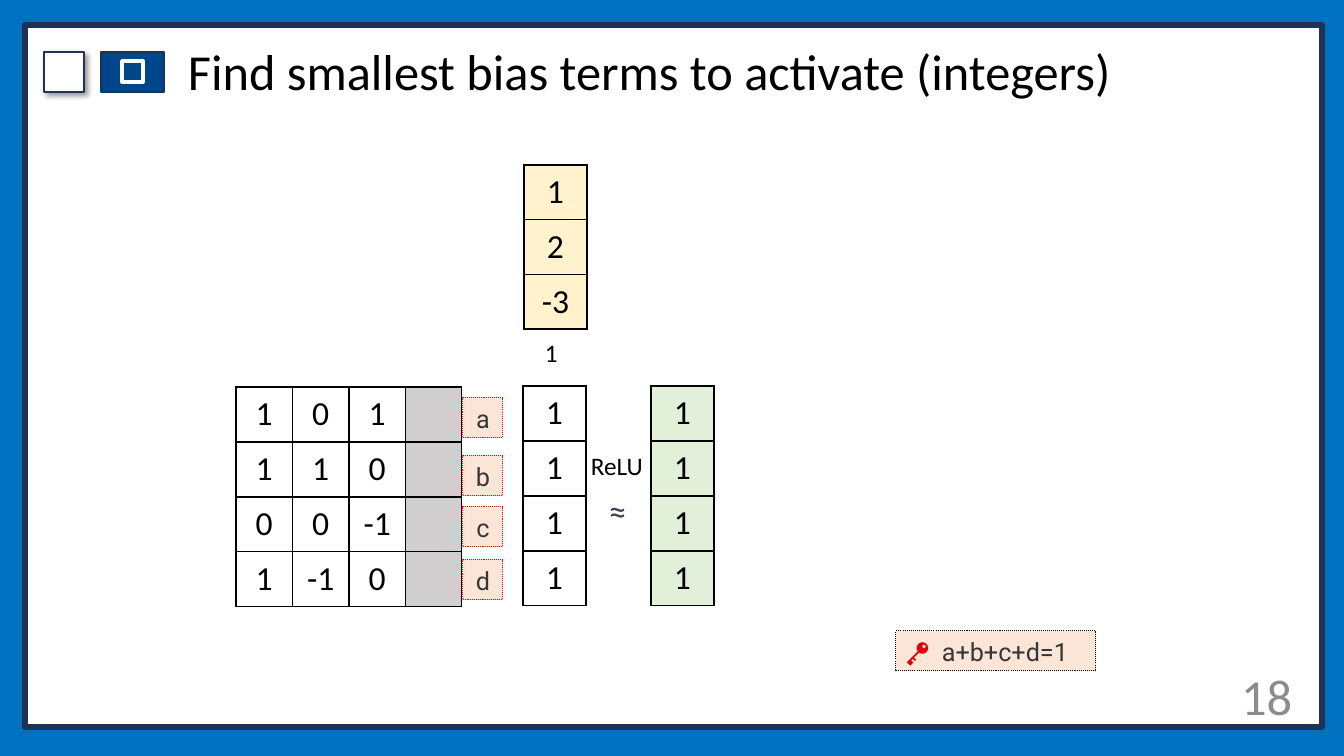
import pptx
import pptx.dml.color
import pptx.enum.dml
import pptx.enum.shapes
import pptx.enum.text
import pptx.oxml
import pptx.oxml.ns
import pptx.util

PIXELS_PER_INCH = 100.8
BLACK = "000000"
WHITE = "FFFFFF"
NAVY = "1E3256"
BLUE = "00468B"
PEACH = "FBE5D6"
DARK = "373637"
ALIGN = pptx.enum.text.PP_ALIGN
ANCHOR = pptx.enum.text.MSO_ANCHOR
NAMESPACE = pptx.oxml.ns.nsdecls("a")


def px(value):
    return pptx.util.Emu(round(value * 914400 / PIXELS_PER_INCH))


def place(*lengths):
    return [px(length) for length in lengths]


def color(value):
    return pptx.dml.color.RGBColor.from_string(value)


def add_span(para, text, size, font, ink):
    span = para.add_run()
    span.text = text
    span.font.size = pptx.util.Pt(size)
    span.font.name = font
    span.font.color.rgb = color(ink)


def add_box(page, area, fill, line, weight):
    box = page.shapes.add_shape(pptx.enum.shapes.MSO_SHAPE.RECTANGLE, *place(*area))
    box.shadow.inherit = False
    box.fill.solid()
    box.fill.fore_color.rgb = color(fill)
    box.line.color.rgb = color(line)
    box.line.width = pptx.util.Pt(weight)
    return box


def add_shadow(box):
    effects = box._element.spPr.find(pptx.oxml.ns.qn("a:effectLst"))
    effects.append(pptx.oxml.parse_xml(
        f'<a:outerShdw {NAMESPACE} blurRad="50800" dist="38100" dir="2700000">'
        f'<a:srgbClr val="{BLACK}"><a:alpha val="40000"/></a:srgbClr></a:outerShdw>'))


def add_text(page, area, text, size, font="Calibri", ink=BLACK,
             anchor=ANCHOR.TOP, align=ALIGN.LEFT, wrap=True):
    frame = page.shapes.add_textbox(*place(*area)).text_frame
    frame.word_wrap = wrap
    frame.vertical_anchor = anchor
    para = frame.paragraphs[0]
    para.alignment = align
    add_span(para, text, size, font, ink)
    return para


def add_label(page, area, line, align):
    box = add_box(page, area, PEACH, line, 0.75)
    box.line.dash_style = pptx.enum.dml.MSO_LINE.ROUND_DOT
    frame = box.text_frame
    frame.word_wrap = True
    frame.vertical_anchor = ANCHOR.TOP
    para = frame.paragraphs[0]
    para.alignment = align
    return para


def add_borders(cell):
    properties = cell._tc.get_or_add_tcPr()
    for side in ("lnL", "lnR", "lnT", "lnB"):
        properties.append(pptx.oxml.parse_xml(
            f'<a:{side} {NAMESPACE} w="12700"><a:solidFill>'
            f'<a:srgbClr val="{BLACK}"/></a:solidFill></a:{side}>'))


def add_matrix(page, area, rows, fill=None, empty_fill=None):
    left, top, width, height = place(*area)
    table = page.shapes.add_table(
        len(rows), len(rows[0]), left, top, width, height).table
    table.first_row = False
    table.horz_banding = False
    for column in table.columns:
        column.width = width // len(rows[0])
    for row_index, values in enumerate(rows):
        table.rows[row_index].height = height // len(rows)
        for column_index, value in enumerate(values):
            cell = table.cell(row_index, column_index)
            add_borders(cell)
            cell_fill = fill if value else empty_fill
            if cell_fill:
                cell.fill.solid()
                cell.fill.fore_color.rgb = color(cell_fill)
            else:
                cell.fill.background()
            cell.vertical_anchor = ANCHOR.MIDDLE
            cell.margin_left = cell.margin_right = px(9)
            cell.margin_top = cell.margin_bottom = px(4)
            if value:
                para = cell.text_frame.paragraphs[0]
                para.alignment = ALIGN.CENTER
                add_span(para, value, 24, "Calibri", BLACK)


def add_frame(page):
    page.background.fill.solid()
    page.background.fill.fore_color.rgb = color("0070C0")
    add_box(page, (25, 25, 1297, 702), WHITE, NAVY, 4)
    add_box(page, (101, 52, 63, 40), BLUE, NAVY, 1)
    add_box(page, (122, 61, 21, 21), BLUE, WHITE, 2.5)
    add_shadow(add_box(page, (44, 52, 40, 40), WHITE, NAVY, 1))


def add_hint(page):
    para = add_label(page, (896, 631, 200, 40), BLACK, ALIGN.LEFT)
    para._p.get_or_add_pPr().append(pptx.oxml.parse_xml(
        f'<a:tabLst {NAMESPACE}><a:tab pos="{px(36)}" algn="l"/></a:tabLst>'))
    add_span(para, "🔑\t", 18, "Roboto", "DF000F")
    add_span(para, "a+b+c+d=1", 18, "Roboto", DARK)


def main():
    deck = pptx.Presentation()
    deck.slide_width, deck.slide_height = place(1344, 756)
    page = deck.slides.add_slide(deck.slide_layouts[6])
    add_frame(page)
    title = add_text(page, (178, 40, 1074, 69),
                     "Find smallest bias terms to activate (integers)", 36,
                     anchor=ANCHOR.MIDDLE)
    title.line_spacing = 0.9
    add_text(page, (1176, 652, 126, 87), "18", 36, ink="8C8C8C",
             anchor=ANCHOR.MIDDLE, align=ALIGN.RIGHT)

    add_matrix(page, (524, 165, 63, 164), [["1"], ["2"], ["-3"]], "FFF2CC")
    weights = [["1", "0", "1", ""], ["1", "1", "0", ""],
               ["0", "0", "-1", ""], ["1", "-1", "0", ""]]
    add_matrix(page, (236, 387, 226, 220), weights, empty_fill="D0CECE")
    for left, fill in ((523, None), (651, "E2F0D9")):
        add_matrix(page, (left, 386, 63, 220), [["1"]] * 4, fill)

    add_text(page, (581, 445, 73, 40), "ReLU", 18)
    add_text(page, (598, 486, 35, 50), "≈", 24, "Lato", "374151")
    for name, top in zip("abcd", (398, 456, 507, 560)):
        para = add_label(page, (463, top, 40, 40), "FF0000", ALIGN.CENTER)
        add_span(para, name, 18, "Roboto", DARK)
    add_hint(page)
    add_text(page, (535, 332, 33, 40), "1", 18, wrap=False)
    deck.save("out.pptx")


if __name__ == "__main__":
    main()
